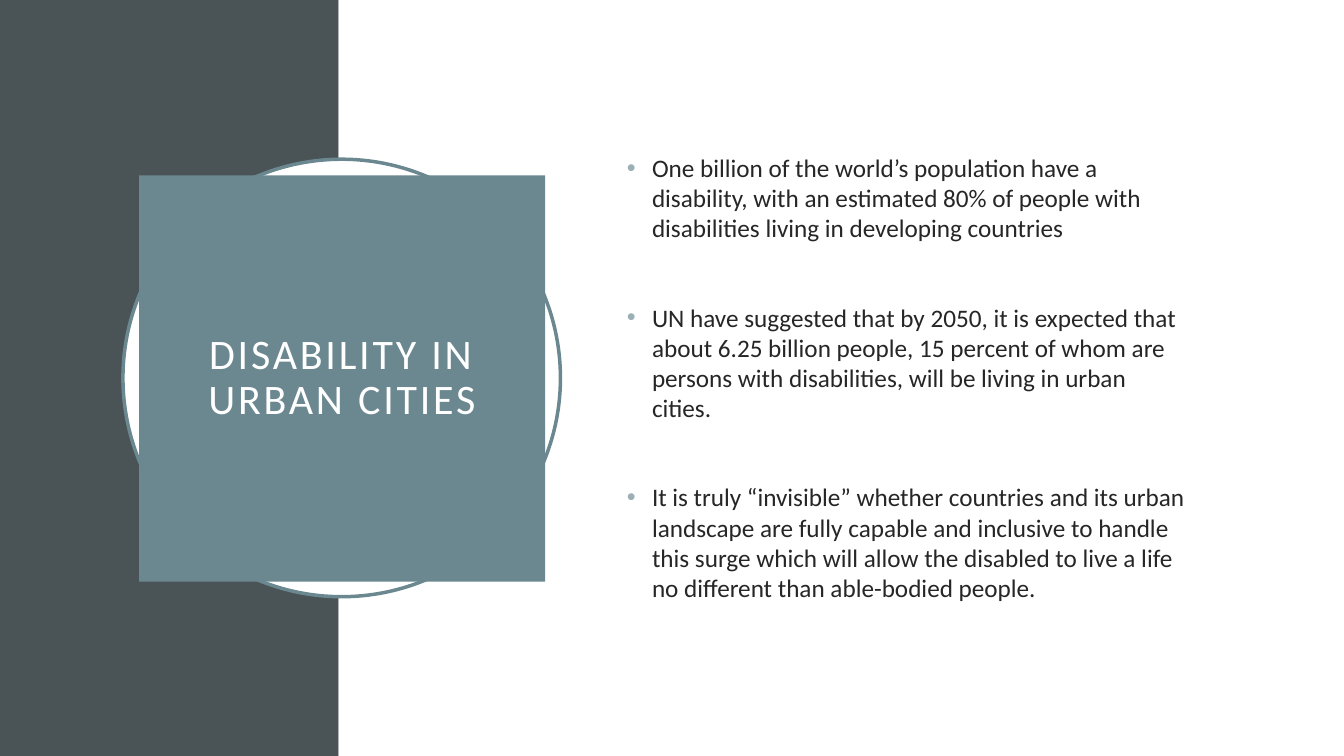
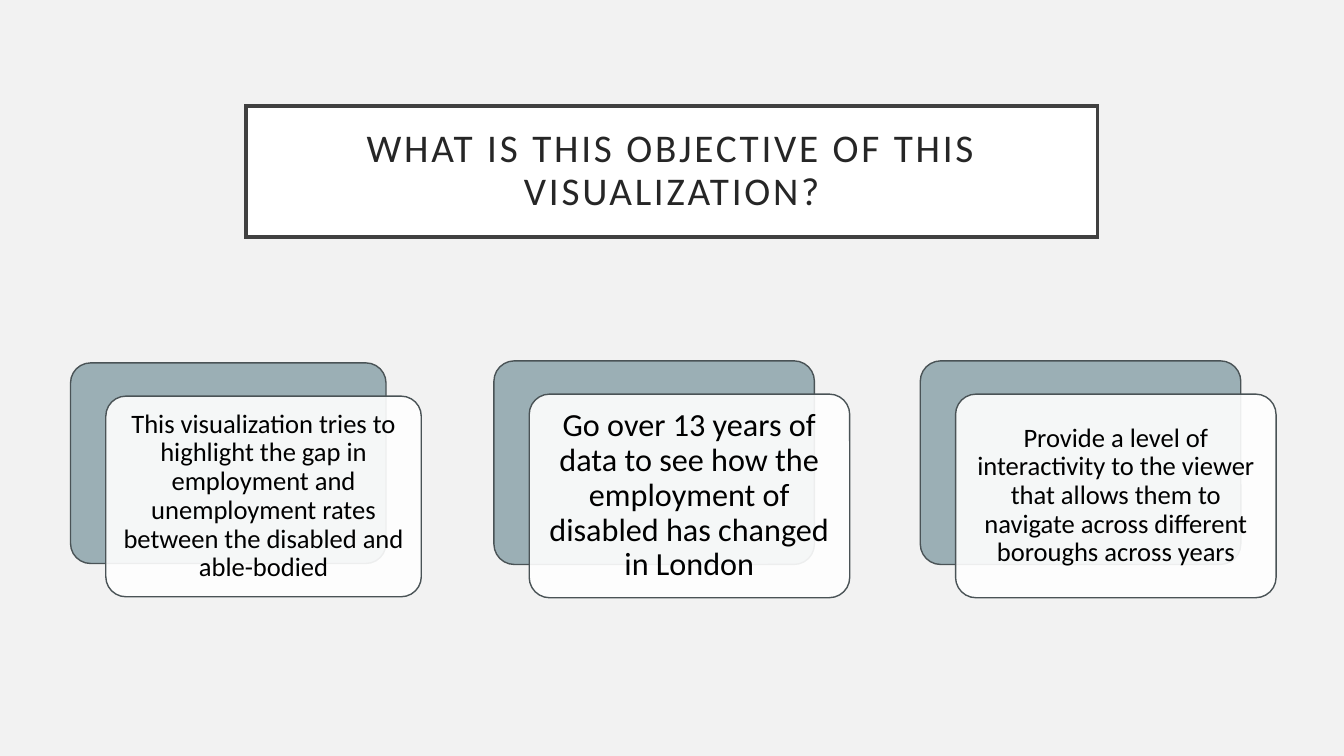
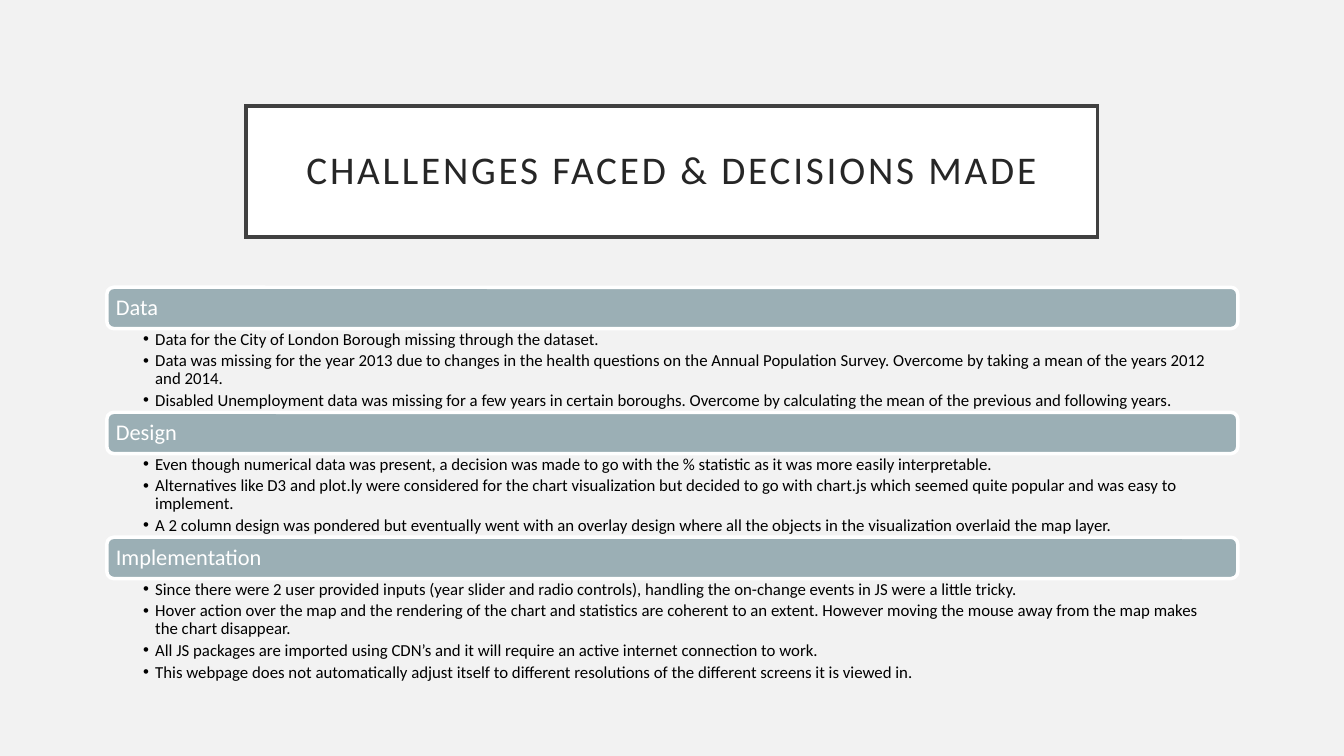
import pptx
import pptx.util
import pptx.dml.color
import pptx.enum.shapes
import pptx.enum.text
import pptx.oxml.ns
from dataclasses import dataclass
from lxml import etree

Inches, Pt = pptx.util.Inches, pptx.util.Pt
Preset = pptx.enum.shapes.MSO_SHAPE
Align = pptx.enum.text.PP_ALIGN
Anchor = pptx.enum.text.MSO_ANCHOR
qn = pptx.oxml.ns.qn


@dataclass(frozen=True)
class Theme:
    font: str = "Calibri"
    bullet_font: str = "Arial"
    white: str = "FFFFFF"
    black: str = "000000"
    paper: str = "F2F2F2"
    ink: str = "262626"
    frame: str = "404040"
    slate: str = "4A5356"
    teal: str = "6B8891"
    mist: str = "9BAFB5"
    side_title_size: float = 30
    title_size: float = 28
    body_size: float = 18
    heading_size: float = 16
    detail_size: float = 12
    heavy_line: float = 2.5
    thin_line: float = 1
    tight: float = 0.9


THEME = Theme()

# Content
INTRO_TITLE = "DISABILITY IN URBAN CITIES"
INTRO_POINTS = [
    "One billion of the world’s population have a disability, with an estimated 80% of "
    "people with disabilities living in developing countries",
    "UN have suggested that by 2050, it is expected that about 6.25 billion people, "
    "15 percent of whom are persons with disabilities, will be living in urban cities.\u00a0",
    "It is truly “invisible” whether countries and its urban landscape are fully capable "
    "and inclusive to handle this surge which will allow the disabled to live a life no "
    "different than able-bodied people.",
]

OBJECTIVE_TITLE = "WHAT IS THIS OBJECTIVE OF THIS VISUALIZATION?"
# text, type size, text inset, back card (left, top, width, height)
OBJECTIVES = [
    ("This visualization tries to highlight the gap in employment and unemployment rates "
     "between the disabled and able-bodied", 19, 0.08, (0.7, 3.6, 3.13, 1.99)),
    ("Go over 13 years of data to see how the employment of disabled has changed in London",
     23, 0.1, (4.9, 3.58, 3.18, 2.02)),
    ("Provide a level of interactivity to the viewer that allows them to navigate across "
     "different boroughs across years", 19, 0.08, (9.13, 3.58, 3.18, 2.02)),
]

CHALLENGE_TITLE = "CHALLENGES FACED & DECISIONS MADE"
# heading, height of its list, details
CHALLENGES = [
    ("Data", 0.83, [
        "Data for the City of London Borough missing through the dataset.",
        "Data was missing for the year 2013 due to changes in the health questions on the "
        "Annual Population Survey. Overcome by taking a mean of the years 2012 and 2014.",
        "Disabled Unemployment data was missing for a few years in certain boroughs. "
        "Overcome by calculating the mean of the previous and following years.",
    ]),
    ("Design", 0.83, [
        "Even though numerical data was present, a decision was made to go with the % "
        "statistic as it was more easily interpretable.",
        "Alternatives like D3 and plot.ly were considered for the chart visualization but "
        "decided to go with chart.js which seemed quite popular and was easy to implement.",
        "A 2 column design was pondered but eventually went with an overlay design where "
        "all the objects in the visualization overlaid the map layer.",
    ]),
    ("Implementation", 1.27, [
        "Since there were 2 user provided inputs (year slider and radio controls), handling "
        "the on-change events in JS were a little tricky.",
        "Hover action over the map and the rendering of the chart and statistics are "
        "coherent to an extent. However moving the mouse away from the map makes the chart "
        "disappear.",
        "All JS packages are imported using CDN’s and it will require an active internet "
        "connection to work.",
        "This webpage does not automatically adjust itself to different resolutions of the "
        "different screens it is viewed in.",
    ]),
]


# Shared building blocks
def rgb(color):
    return pptx.dml.color.RGBColor.from_string(color)


def new_slide(deck, background):
    slide = deck.slides.add_slide(deck.slide_layouts[6])
    slide.background.fill.solid()
    slide.background.fill.fore_color.rgb = rgb(background)
    return slide


def add_panel(slide, preset, box, fill, line=None, width=0, corner=None, opacity=100):
    panel = slide.shapes.add_shape(preset, *map(Inches, box))
    panel.shadow.inherit = False
    panel.fill.solid()
    panel.fill.fore_color.rgb = rgb(fill)
    if opacity < 100:
        color = panel.fill._xPr.find(qn("a:solidFill"))[0]
        etree.SubElement(color, qn("a:alpha")).set("val", str(opacity * 1000))
    if line:
        panel.line.color.rgb = rgb(line)
        panel.line.width = Pt(width)
        if preset == Preset.RECTANGLE:
            outline = panel.line._get_or_add_ln()
            etree.SubElement(outline, qn("a:miter")).set("lim", "800000")
    else:
        panel.line.fill.background()
    if corner is not None:
        panel.adjustments[0] = corner
    return panel


def write(shape, lines, size, color, insets, align=Align.LEFT, anchor=Anchor.MIDDLE,
          spacing=THEME.tight, tracking=0):
    frame = shape.text_frame
    frame.word_wrap = True
    frame.vertical_anchor = anchor
    (frame.margin_left, frame.margin_top,
     frame.margin_right, frame.margin_bottom) = map(Inches, insets)
    frame.text = "\n".join(lines)
    for paragraph in frame.paragraphs:
        paragraph.alignment = align
        paragraph.line_spacing = spacing
        for run in paragraph.runs:
            run.font.name = THEME.font
            run.font.size = Pt(size)
            run.font.color.rgb = rgb(color)
            if tracking:
                run._r.get_or_add_rPr().set("spc", str(tracking * 100))
    return frame.paragraphs


def add_bullet(paragraph, indent, color):
    properties = paragraph._p.get_or_add_pPr()
    properties.set("marL", str(Inches(indent)))
    properties.set("indent", str(-Inches(indent)))
    tint = etree.SubElement(properties, qn("a:buClr"))
    etree.SubElement(tint, qn("a:srgbClr")).set("val", color)
    etree.SubElement(properties, qn("a:buFont")).set("typeface", THEME.bullet_font)
    etree.SubElement(properties, qn("a:buChar")).set("char", "•")


def add_title(slide, text, box=(2.44, 1.05, 8.45, 1.3), fill=THEME.white,
              line=THEME.frame, color=THEME.ink, size=THEME.title_size):
    title = add_panel(slide, Preset.RECTANGLE, box, fill, line, THEME.heavy_line)
    write(title, [text], size, color, [0.2] * 4, Align.CENTER, tracking=2)


deck = pptx.Presentation()
deck.slide_width, deck.slide_height = Inches(7.5 * 16 / 9), Inches(7.5)

# Slide 1: side band, ringed title and key points
intro = new_slide(deck, THEME.white)
add_panel(intro, Preset.RECTANGLE, (0, 0, 3.36, 7.5), THEME.slate)
add_panel(intro, Preset.RECTANGLE, (3.36, 0, 9.97, 7.5), THEME.white)
add_panel(intro, Preset.OVAL, (1.22, 1.58, 4.34, 4.34), THEME.white, THEME.teal,
          THEME.heavy_line)
add_title(intro, INTRO_TITLE, (1.38, 1.74, 4.03, 4.03), THEME.teal, None, THEME.white,
          THEME.side_title_size)
points = intro.shapes.add_textbox(*map(Inches, (6.12, 1.53, 5.82, 4.43)))
for index, point in enumerate(write(points, INTRO_POINTS, THEME.body_size, THEME.ink,
                                    (0.1, 0.05, 0.1, 0.05), spacing=1.0)):
    point.space_before = Pt(42 if index else 10)
    add_bullet(point, 0.25, THEME.mist)

# Slide 2: pairs of layered cards
OFFSET_X, OFFSET_Y = 0.35, 0.33
objective = new_slide(deck, THEME.paper)
add_title(objective, OBJECTIVE_TITLE)
for text, size, inset, (left, top, width, height) in OBJECTIVES:
    add_panel(objective, Preset.ROUNDED_RECTANGLE, (left, top, width, height),
              THEME.mist, THEME.slate, THEME.thin_line, 0.1)
    card = add_panel(objective, Preset.ROUNDED_RECTANGLE,
                     (left + OFFSET_X, top + OFFSET_Y, width, height),
                     THEME.white, THEME.slate, THEME.thin_line, 0.1, opacity=90)
    write(card, [text], size, THEME.black, [inset] * 4, Align.CENTER)

# Slide 3: heading bars, each followed by its list
LIST_LEFT, LIST_WIDTH, BAR_HEIGHT = 1.06, 11.22, 0.41
challenges = new_slide(deck, THEME.paper)
add_title(challenges, CHALLENGE_TITLE)
top = 2.85
for heading, list_height, details in CHALLENGES:
    bar = add_panel(challenges, Preset.ROUNDED_RECTANGLE,
                    (LIST_LEFT, top, LIST_WIDTH, BAR_HEIGHT),
                    THEME.mist, THEME.white, THEME.heavy_line)
    write(bar, [heading], THEME.heading_size, THEME.white, [0.07] * 4)
    top += BAR_HEIGHT
    detail_box = challenges.shapes.add_textbox(
        *map(Inches, (LIST_LEFT, top, LIST_WIDTH, list_height)))
    for detail in write(detail_box, details, THEME.detail_size, THEME.black,
                        (0.36, 0.02, 0.12, 0.02), anchor=Anchor.TOP):
        detail.space_after = Pt(2.5)
        add_bullet(detail, 0.12, THEME.black)
    top += list_height

deck.save("out.pptx")
